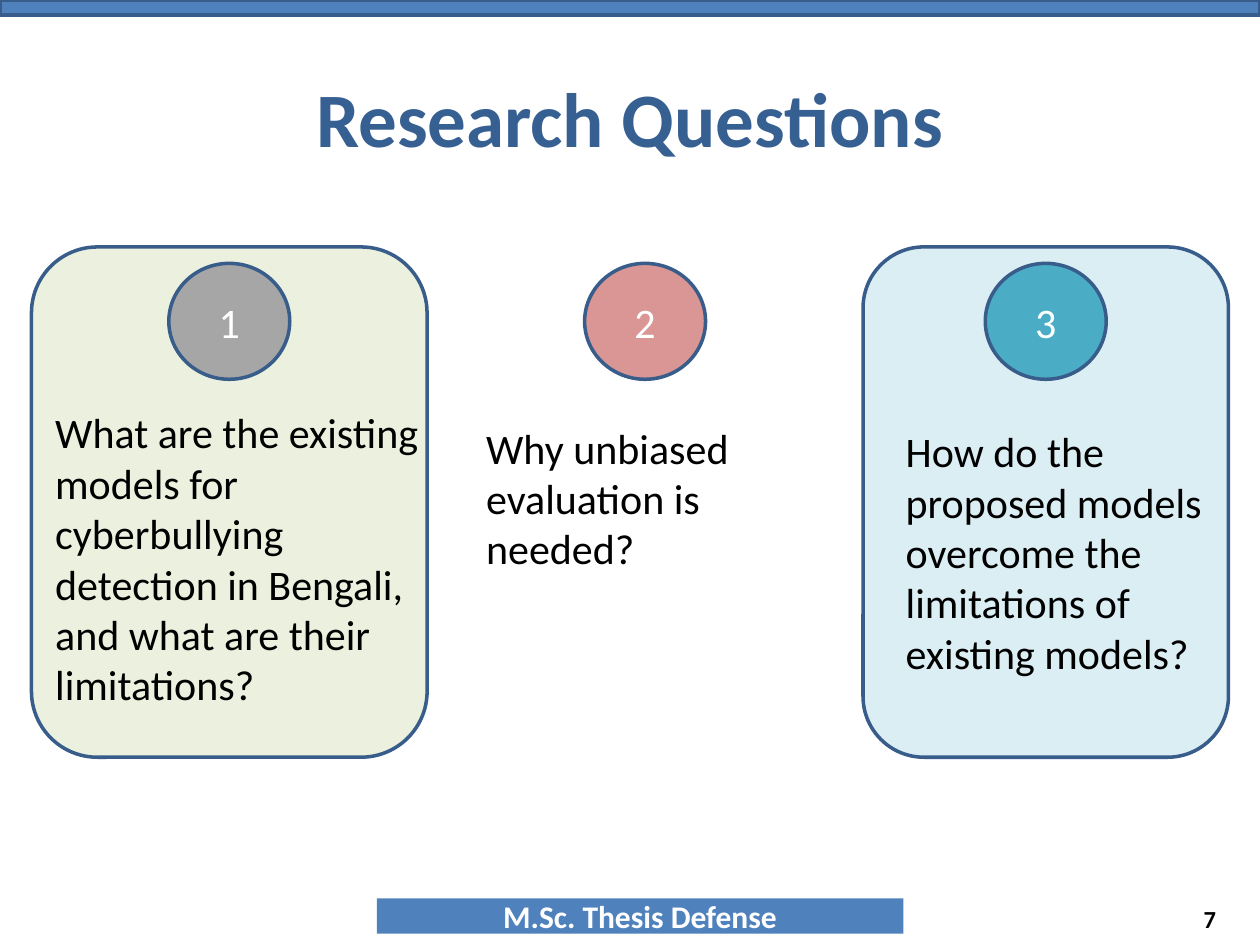
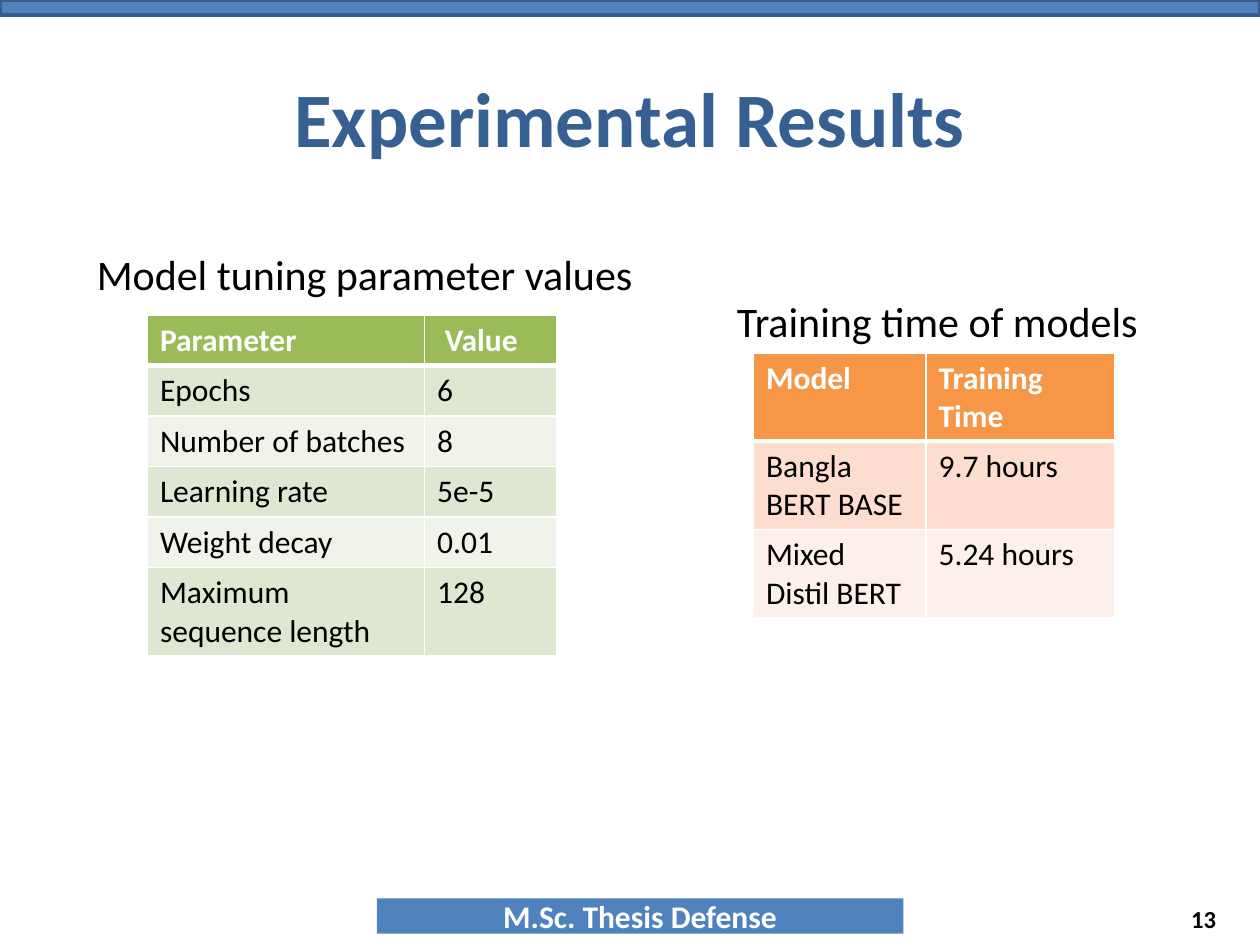
from lxml import etree
from pptx import Presentation
from pptx.dml.color import RGBColor
from pptx.enum.shapes import MSO_SHAPE
from pptx.enum.text import MSO_ANCHOR, PP_ALIGN
from pptx.oxml.ns import qn
from pptx.util import Inches, Pt

# Shared look
FONT = "Calibri"
BLUE, EDGE, NAVY = "4F81BD", "385D8A", "376092"
WHITE, BLACK = "FFFFFF", "000000"
LEFT, MID, RIGHT = PP_ALIGN.LEFT, PP_ALIGN.CENTER, PP_ALIGN.RIGHT


def color(code):
    return RGBColor.from_string(code)


def write(frame, text, size=24, ink=BLACK, bold=False, align=LEFT,
          anchor=MSO_ANCHOR.TOP):
    frame.word_wrap = True
    frame.vertical_anchor = anchor
    para = frame.paragraphs[0]
    para.alignment = align
    run = para.add_run()
    run.text = text
    font = run.font
    font.name, font.size, font.bold = FONT, Pt(size), bold
    font.color.rgb = color(ink)


def label(slide, box, text, **style):
    area = slide.shapes.add_textbox(*map(Inches, box))
    write(area.text_frame, text, **style)


def block(slide, kind, box, fill, line=EDGE):
    shape = slide.shapes.add_shape(kind, *map(Inches, box))
    shape.shadow.inherit = False
    shape.fill.solid()
    shape.fill.fore_color.rgb = color(fill)
    if line:
        shape.line.color.rgb = color(line)
        shape.line.width = Pt(2)
    else:
        shape.line.fill.background()
    return shape


def base(deck, title, number):
    """Blank slide with top band, footer, title and page number."""
    slide = deck.slides.add_slide(deck.slide_layouts[6])
    middle = MSO_ANCHOR.MIDDLE
    footer = block(slide, MSO_SHAPE.RECTANGLE, (2.99, 7.13, 4.18, 0.28),
                   BLUE, line=None)
    write(footer.text_frame, "M.Sc. Thesis Defense", size=18, ink=WHITE,
          bold=True, align=MID, anchor=middle)
    block(slide, MSO_SHAPE.RECTANGLE, (0, 0, 10, 0.12), BLUE)
    label(slide, (0.5, 0.3, 9, 1.25), title, size=44, ink=NAVY, bold=True,
          align=MID, anchor=middle)
    label(slide, (7.42, 7.09, 2.33, 0.4), str(number), size=14, bold=True,
          align=RIGHT, anchor=middle)
    return slide


def card(slide, box, number, text, inset, panel, badge):
    """Question card: optional panel, centred badge, text at an inset."""
    x, y, w, h = box
    if panel:
        block(slide, MSO_SHAPE.ROUNDED_RECTANGLE, box, panel)
    disc = block(slide, MSO_SHAPE.OVAL,
                 (x + w / 2 - 0.48, y + 0.13, 0.96, 0.92), badge)
    write(disc.text_frame, str(number), ink=WHITE, align=MID,
          anchor=MSO_ANCHOR.MIDDLE)
    dx, dy, width, height = inset
    label(slide, (x + dx, y + dy, width, height), text)


def border(cell, **widths):
    """White cell borders; widths in points by side letter."""
    props = cell._tc.get_or_add_tcPr()
    for spot, side in enumerate("LRTB"):
        line = etree.Element(qn(f"a:ln{side}"), w=str(Pt(widths.get(side, 1))))
        fill = etree.SubElement(line, qn("a:solidFill"))
        etree.SubElement(fill, qn("a:srgbClr"), val=WHITE)
        props.insert(spot, line)


def grid(slide, spot, cols, heights, rows, head, bands):
    """Table with a coloured header, banded rows and a thick header rule."""
    table = slide.shapes.add_table(
        len(rows), len(cols), *map(Inches, (*spot, sum(cols), sum(heights)))
    ).table
    table.horz_banding = False
    for col, width in zip(table.columns, cols):
        col.width = Inches(width)
    for r, (row, height) in enumerate(zip(rows, heights)):
        table.rows[r].height = Inches(height)
        top = r == 0
        for c, text in enumerate(row):
            cell = table.cell(r, c)
            write(cell.text_frame, text, size=18, bold=top,
                  ink=WHITE if top else BLACK)
            cell.fill.solid()
            cell.fill.fore_color.rgb = color(head if top else bands[(r - 1) % 2])
            border(cell, T=3 if r == 1 else 1, B=3 if top else 1)
    return table


def questions(deck):
    slide = base(deck, "Research Questions", 7)
    top, tall = 1.96, 4.05
    cards = [
        (0.25, 3.14, (0.09, 1.22, 3.34, 2.52), "EBF1DE", "A6A6A6",
         "What are the existing models for cyberbullying detection in "
         "Bengali, and what are their limitations?"),
        (3.67, 2.9, (0.09, 1.34, 2.49, 1.62), None, "D99694",
         "Why unbiased evaluation is needed?"),
        (6.85, 2.9, (0.24, 1.37, 2.9, 2.42), "DBEEF4", "4BACC6",
         "How do the proposed models overcome the limitations of "
         "existing models?"),
    ]
    for number, (x, w, inset, panel, badge, text) in enumerate(cards, 1):
        card(slide, (x, top, w, tall), number, text, inset, panel, badge)


def results(deck):
    slide = base(deck, "Experimental Results", 13)
    # Tuning parameters
    label(slide, (0.67, 1.92, 4.67, 0.51), "Model tuning parameter values")
    tuning = grid(
        slide, (1.17, 2.5), (2.2, 1.05), [0.4] * 5 + [0.7],
        [("Parameter", "Value"), ("Epochs", "6"), ("Number of batches", "8"),
         ("Learning rate", "5e-5"), ("Weight decay", "0.01"),
         ("Maximum sequence length", "128")],
        "9BBB59", ("DEE7D1", "EFF3EA"))
    tuning.cell(0, 1).margin_left = Inches(0.16)
    # Training times
    label(slide, (5.75, 2.3, 3.58, 0.5), "Training time of models")
    grid(
        slide, (5.98, 2.8), (1.37, 1.5), [0.7] * 3,
        [("Model", "Training Time"), ("Bangla BERT BASE", "9.7 hours"),
         ("Mixed Distil BERT", "5.24 hours")],
        "F79646", ("FCDDCF", "FDEFE9"))


def main():
    deck = Presentation()
    deck.slide_width, deck.slide_height = Inches(10), Inches(7.5)
    questions(deck)
    results(deck)
    deck.save("out.pptx")


if __name__ == "__main__":
    main()
